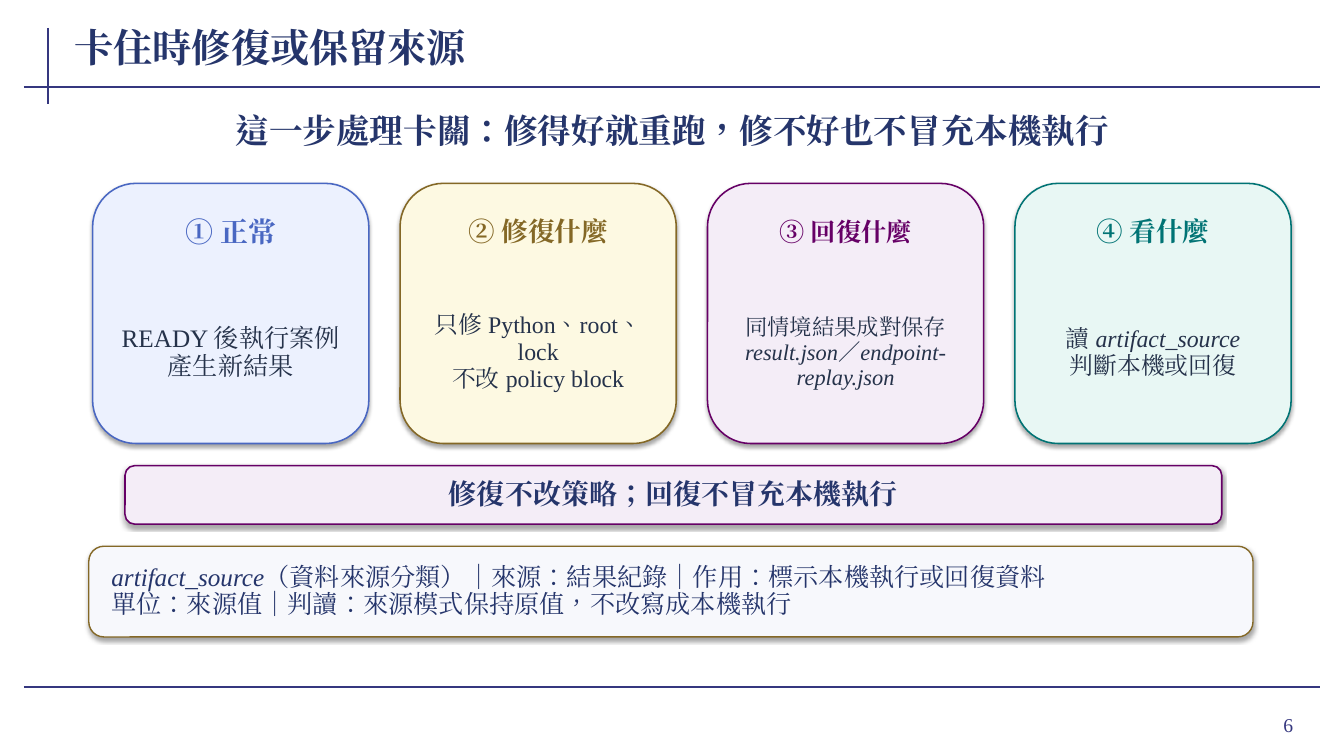
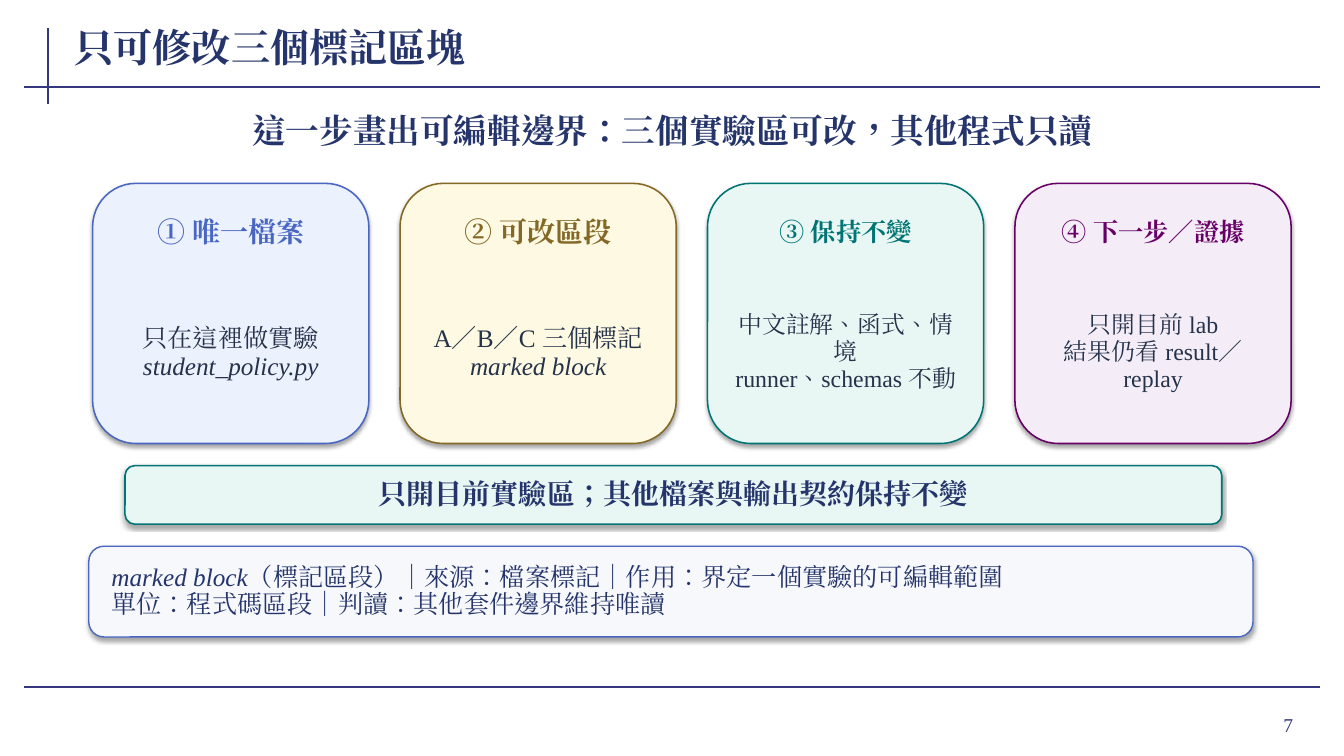
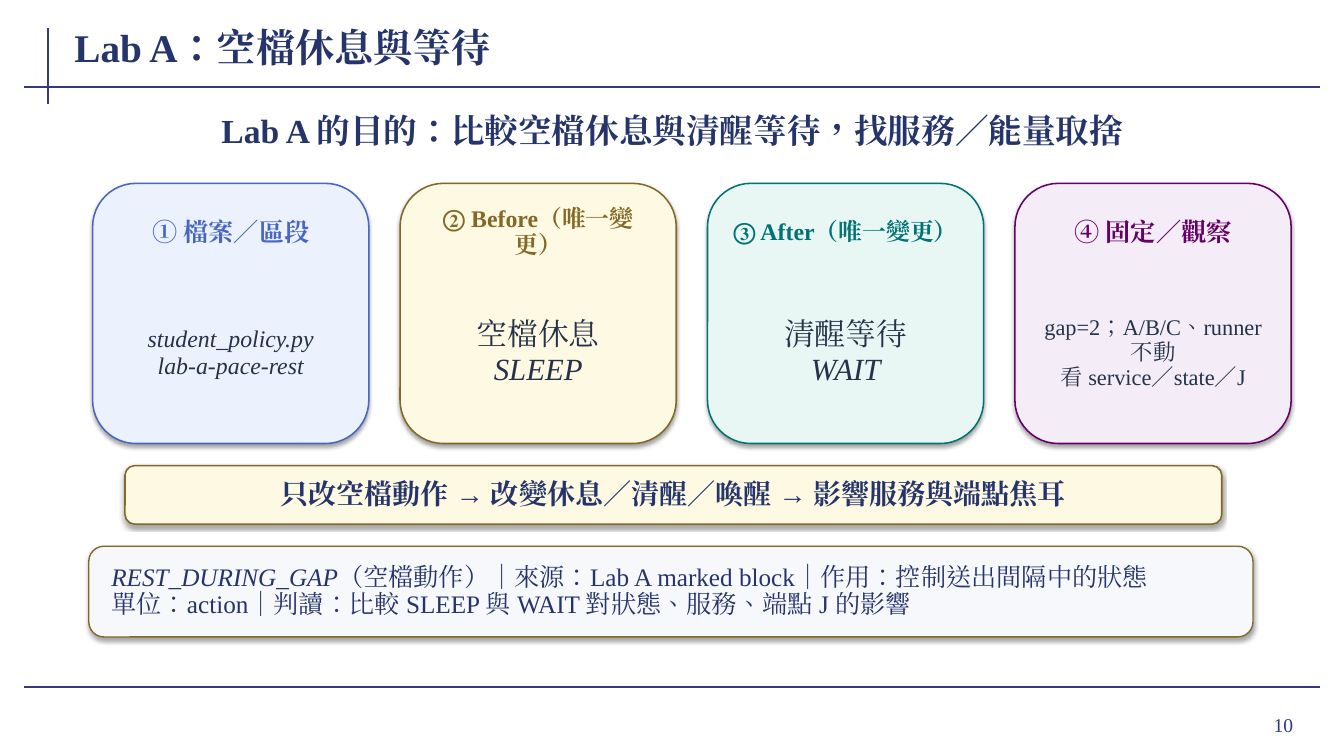
from lxml.etree import SubElement
from pptx import Presentation
from pptx.dml.color import RGBColor
from pptx.enum.lang import MSO_LANGUAGE_ID
from pptx.enum.shapes import MSO_CONNECTOR, MSO_SHAPE
from pptx.enum.text import MSO_ANCHOR, MSO_AUTO_SIZE, PP_ALIGN
from pptx.oxml.ns import qn
from pptx.util import Pt

FONT = "Times New Roman"
RULE, NAVY, INK, PAPER = "35377F", "25356B", "25324A", "F7F8FC"
BLUE = ("ECF1FE", "4967C2")
GOLD = ("FDF9E2", "846826")
PURPLE = ("F4EDF7", "660066")
TEAL = ("E8F7F4", "007374")

FRAME_RULES = [(34, 20, 34, 74), (17, 62, 943, 62), (17, 491, 943, 491)]
TITLE_BOX = (51.8, 14.4, 745.2, 38.2)
LEAD_BOX = (73.4, 75.6, 813.6, 37.4)
BAND_BOX = (89.3, 332.6, 783.4, 41.8)
NOTE_BOX = (63.4, 390.2, 831.6, 64.8)
PAGE_BOX = (861.1, 499, 69.8, 37.4)
CARD_LEFT, CARD_TOP, CARD_WIDTH, CARD_HEIGHT, CARD_STEP = 66.2, 131, 197.3, 185.8, 219.6

TITLE = dict(size=28, color=NAVY, bold=True, insets=(1.4, 0), align=PP_ALIGN.LEFT)
LEAD = dict(size=24, color=NAVY, bold=True, insets=(1.4, 0), spacing=0.96)
HEADING = dict(bold=True, insets=(2.2, 0.7), spacing=0.92)
DETAIL = dict(color=INK, insets=(3.6, 0.7), spacing=0.94)
BAND = dict(size=20, color=NAVY, bold=True, insets=(8.6, 2.9), spacing=0.95)
NOTE = dict(size=18, color=NAVY, insets=(13, 2.2), spacing=0.9, align=PP_ALIGN.LEFT)
PAGE = dict(size=14, color=RULE, insets=(7.2, 3.6), align=PP_ALIGN.RIGHT)

SLIDES = [
    dict(
        page="6",
        title="卡住時修復或保留來源",
        lead="這一步處理卡關：修得好就重跑，修不好也不冒充本機執行",
        cards=[
            (BLUE, "① 正常", 20, ["READY 後執行案例", "產生新結果"], 18),
            (GOLD, "② 修復什麼", 19, ["只修 Python、root、lock", "不改 policy block"], 17),
            (PURPLE, "③ 回復什麼", 18,
             ["同情境結果成對保存", "*result.json*／*endpoint-replay.json*"], 16),
            (TEAL, "④ 看什麼", 19, ["讀 *artifact_source*", "判斷本機或回復"], 17),
        ],
        band=(PURPLE, "修復不改策略；回復不冒充本機執行"),
        note=(GOLD, ["*artifact_source*（資料來源分類）｜來源：結果紀錄｜作用：標示本機執行或回復資料",
                     "單位：來源值｜判讀：來源模式保持原值，不改寫成本機執行"]),
    ),
    dict(
        page="7",
        title="只可修改三個標記區塊",
        lead="這一步畫出可編輯邊界：三個實驗區可改，其他程式只讀",
        cards=[
            (BLUE, "① 唯一檔案", 20, ["只在這裡做實驗", "*student_policy.py*"], 18),
            (GOLD, "② 可改區段", 20, ["A／B／C 三個標記", "*marked block*"], 18),
            (TEAL, "③ 保持不變", 18, ["中文註解、函式、情境", "runner、schemas 不動"], 17),
            (PURPLE, "④ 下一步／證據", 18, ["只開目前 lab", "結果仍看 result／replay"], 17),
        ],
        band=(TEAL, "只開目前實驗區；其他檔案與輸出契約保持不變"),
        note=(BLUE, ["*marked block*（標記區段）｜來源：檔案標記｜作用：界定一個實驗的可編輯範圍",
                     "單位：程式碼區段｜判讀：其他套件邊界維持唯讀"]),
    ),
    dict(
        page="10",
        title="Lab A：空檔休息與等待",
        lead="Lab A 的目的：比較空檔休息與清醒等待，找服務／能量取捨",
        cards=[
            (BLUE, "① 檔案／區段", 18, ["*student_policy.py*", "*lab-a-pace-rest*"], 17),
            (GOLD, "② Before（唯一變更）", 17, ["空檔休息", "*SLEEP*"], 22),
            (TEAL, "③ After（唯一變更）", 17, ["清醒等待", "*WAIT*"], 22),
            (PURPLE, "④ 固定／觀察", 18, ["gap=2；A/B/C、runner 不動", "看 service／state／J"], 16),
        ],
        band=(GOLD, "只改空檔動作 → 改變休息／清醒／喚醒 → 影響服務與端點焦耳"),
        note=(GOLD, ["*REST_DURING_GAP*（空檔動作）｜來源：Lab A marked block｜作用：控制送出間隔中的狀態",
                     "單位：action｜判讀：比較 SLEEP 與 WAIT 對狀態、服務、端點 J 的影響"]),
    ),
]


def points(values):
    return [Pt(value) for value in values]


def rgb(hex_code):
    return RGBColor.from_string(hex_code)


def apply(target, formats):
    for attribute, value in formats.items():
        setattr(target, attribute, value)


def add_run(paragraph, text, size, color, bold, italic):
    run = paragraph.add_run()
    run.text = text
    apply(run.font, dict(name=FONT, size=Pt(size), bold=bold, italic=italic,
                         language_id=MSO_LANGUAGE_ID.TRADITIONAL_CHINESE))
    run.font.fill.solid()
    run.font.fill.fore_color.rgb = rgb(color)
    SubElement(run._r.get_or_add_rPr(), qn("a:ea"), typeface=FONT)


def write(frame, lines, size, color, insets, bold=False, spacing=1.0, align=PP_ALIGN.CENTER):
    across, down = points(insets)
    apply(frame, dict(word_wrap=True, auto_size=MSO_AUTO_SIZE.NONE,
                      vertical_anchor=MSO_ANCHOR.MIDDLE,
                      margin_left=across, margin_right=across,
                      margin_top=down, margin_bottom=down))
    for index, line in enumerate(lines):
        paragraph = frame.add_paragraph() if index else frame.paragraphs[0]
        apply(paragraph, dict(alignment=align, line_spacing=spacing))
        for part, text in enumerate(line.split("*")):
            if text:
                add_run(paragraph, text, size, color, bold, part % 2 == 1)


def add_label(slide, box, lines, **style):
    write(slide.shapes.add_textbox(*points(box)).text_frame, lines, **style)


def add_panel(slide, box, fill, outline, width=1.1):
    panel = slide.shapes.add_shape(MSO_SHAPE.ROUNDED_RECTANGLE, *points(box))
    panel.fill.solid()
    panel.fill.fore_color.rgb = rgb(fill)
    panel.line.color.rgb = rgb(outline)
    panel.line.width = Pt(width)
    panel.shadow.inherit = False
    effects = panel.element.spPr.find(qn("a:effectLst"))
    shadow = SubElement(effects, qn("a:outerShdw"), blurRad=str(Pt(3.1)), dist=str(Pt(1.8)),
                        dir="5400000", algn="ctr", rotWithShape="0")
    black = SubElement(shadow, qn("a:srgbClr"), val="000000")
    SubElement(black, qn("a:alpha"), val="35000")
    return panel.text_frame


def add_card(slide, column, palette, heading, heading_size, details, detail_size):
    left = CARD_LEFT + column * CARD_STEP
    fill, accent = palette
    add_panel(slide, (left, CARD_TOP, CARD_WIDTH, CARD_HEIGHT), fill, accent)
    add_label(slide, (left + 11.5, CARD_TOP + 14.4, CARD_WIDTH - 23, 41.8),
              [heading], size=heading_size, color=accent, **HEADING)
    add_label(slide, (left + 13, CARD_TOP + 70.6, CARD_WIDTH - 26, 100.8),
              details, size=detail_size, **DETAIL)


def define_frame(layout, slide):
    apply(layout.placeholders[0], dict(zip(("left", "top", "width", "height"), points(TITLE_BOX))))
    for number, ends in enumerate(FRAME_RULES, start=20):
        rule = slide.shapes.add_connector(MSO_CONNECTOR.STRAIGHT, *points(ends))
        rule.line.color.rgb = rgb(RULE)
        rule.line.width = Pt(1.5)
        SubElement(rule.element.spPr, qn("a:effectLst"))
        rule.element.nvCxnSpPr.cNvPr.set("id", str(number))
        layout.shapes.element.append(rule.element)


def fill_slide(slide, content):
    write(slide.shapes.title.text_frame, [content["title"]], **TITLE)
    add_label(slide, LEAD_BOX, [content["lead"]], **LEAD)
    for column, card in enumerate(content["cards"]):
        add_card(slide, column, *card)
    band_palette, conclusion = content["band"]
    write(add_panel(slide, BAND_BOX, *band_palette), [conclusion], **BAND)
    (_, note_accent), definitions = content["note"]
    write(add_panel(slide, NOTE_BOX, PAPER, note_accent, 1), definitions, **NOTE)
    add_label(slide, PAGE_BOX, [content["page"]], **PAGE)


def main():
    deck = Presentation()
    deck.slide_width, deck.slide_height = points((960, 540))
    layout = deck.slide_layouts[5]
    slides = [deck.slides.add_slide(layout) for _ in SLIDES]
    define_frame(layout, slides[0])
    for slide, content in zip(slides, SLIDES):
        fill_slide(slide, content)
    deck.save("out.pptx")


if __name__ == "__main__":
    main()
